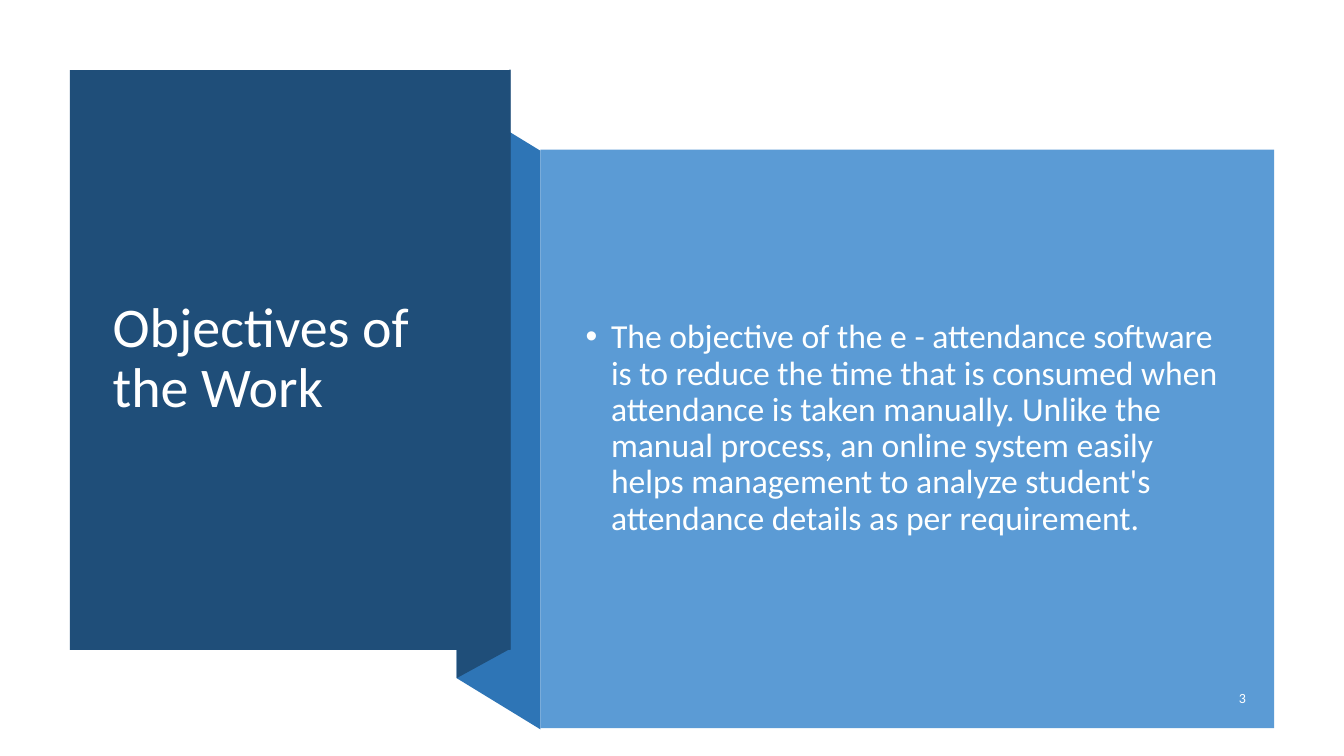
from collections import namedtuple
from dataclasses import dataclass

from lxml import etree
from pptx import Presentation
from pptx.dml.color import RGBColor
from pptx.enum.shapes import MSO_SHAPE
from pptx.enum.text import MSO_ANCHOR, PP_ALIGN
from pptx.oxml.ns import qn
from pptx.util import Cm, Pt

RECTANGLE = MSO_SHAPE.RECTANGLE
MIDDLE = MSO_ANCHOR.MIDDLE
RIGHT = PP_ALIGN.RIGHT

Box = namedtuple("Box", "left top width height")  # centimetres


@dataclass(frozen=True)
class Theme:
    font: str = "Calibri"
    title_size: int = 40
    body_size: int = 24
    number_size: int = 10
    dark: str = "1F4E79"
    middle: str = "2E75B6"
    light: str = "5B9BD5"
    text: str = "FFFFFF"
    body_text: str = "FEFFFF"


THEME = Theme()
TITLE_PANEL = Box(1.76, 1.77, 11.11, 14.61)
CONTENT_PANEL = Box(13.62, 3.77, 18.49, 14.58)
FOLD = Box(11.51, 2.51, 2.11, 15.87)

TITLE = "Objectives of the Work"
OBJECTIVE = (
    "The objective of the e - attendance software is to reduce the time that is "
    "consumed when attendance is taken manually. Unlike the manual process, an "
    "online system easily helps management to analyze student's attendance "
    "details as per requirement."
)
SLIDE_NUMBER = "3"


def paint(shape, color):
    shape.shadow.inherit = False
    shape.fill.solid()
    shape.fill.fore_color.rgb = RGBColor.from_string(color)
    shape.line.fill.background()


def add_panel(slide, box, color):
    shape = slide.shapes.add_shape(RECTANGLE, *map(Cm, box))
    paint(shape, color)


def add_slanted_band(slide, box, slant, color):
    """Draw a band whose right side is shifted down by slant (up if negative)."""
    left, right = box.left, box.left + box.width
    left_top = box.top + max(-slant, 0)
    left_bottom = box.top + box.height - max(slant, 0)
    corners = [
        (right, left_bottom + slant),
        (left, left_bottom),
        (left, left_top),
        (right, left_top + slant),
    ]
    points = [(Cm(x), Cm(y)) for x, y in corners]
    builder = slide.shapes.build_freeform(*points[0])
    builder.add_line_segments(points[1:], close=True)
    paint(builder.convert_to_shape(), color)


def add_bullet(paragraph, indent):
    properties = paragraph._p.get_or_add_pPr()
    properties.set("marL", str(indent))
    properties.set("indent", str(-indent))
    etree.SubElement(properties, qn("a:buFont"), typeface="Arial")
    etree.SubElement(properties, qn("a:buChar"), char="•")


def add_text(slide, box, text, size, color, paragraph_format, bullet_indent=None):
    frame = slide.shapes.add_textbox(*map(Cm, box)).text_frame
    frame.word_wrap = True
    frame.vertical_anchor = MIDDLE
    paragraph = frame.paragraphs[0]
    if bullet_indent is not None:
        add_bullet(paragraph, bullet_indent)
    for name, value in paragraph_format.items():
        setattr(paragraph, name, value)
    run = paragraph.add_run()
    run.text = text
    for name, value in {"name": THEME.font, "size": Pt(size)}.items():
        setattr(run.font, name, value)
    run.font.color.rgb = RGBColor.from_string(color)


def add_fold(slide, box):
    """Draw the ribbon joining the title panel to the content panel."""
    add_slanted_band(slide, box, 1.29, THEME.middle)
    shade = Box(box.left, box.top - 0.76, 1.35, 15.34)
    add_slanted_band(slide, shade, -0.74, THEME.dark)


def add_title_region(slide, box):
    add_panel(slide, box, THEME.dark)
    text_box = Box(box.left + 0.83, box.top + 0.95, 9.42, 12.67)
    add_text(slide, text_box, TITLE, THEME.title_size, THEME.text,
             {"line_spacing": 0.9})


def add_content_region(slide, box):
    add_panel(slide, box, THEME.light)
    text_box = Box(box.left + 0.89, box.top + 1.01, 16.54, 12.04)
    add_text(slide, text_box, OBJECTIVE, THEME.body_size, THEME.body_text,
             {"line_spacing": 0.9}, Cm(0.64))
    number_box = Box(box.left + 16.13, box.top + 13.38, 1.9, 0.89)
    add_text(slide, number_box, SLIDE_NUMBER, THEME.number_size, THEME.text,
             {"alignment": RIGHT, "space_after": Pt(6)})


def main():
    presentation = Presentation()
    presentation.slide_width = Cm(33.87)
    presentation.slide_height = Cm(19.05)
    slide = presentation.slides.add_slide(presentation.slide_layouts[6])
    add_fold(slide, FOLD)
    add_title_region(slide, TITLE_PANEL)
    add_content_region(slide, CONTENT_PANEL)
    presentation.save("out.pptx")


if __name__ == "__main__":
    main()
